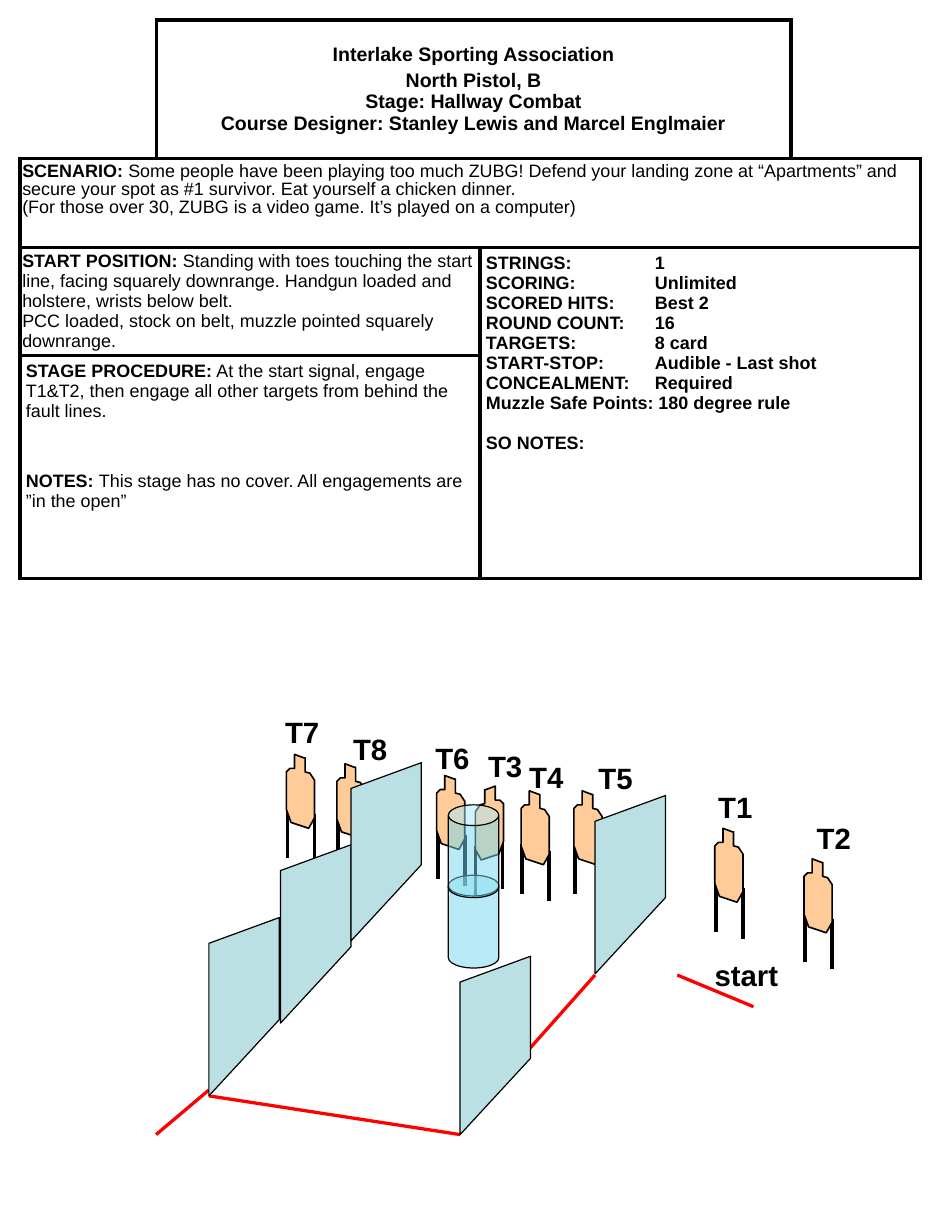
import pptx
import pptx.util
import pptx.dml.color
import pptx.enum.shapes
import pptx.enum.text
import pptx.oxml.ns
from lxml import etree
from dataclasses import dataclass

PX = 9144  # EMU per px, 100 px to the inch


@dataclass(frozen=True)
class Theme:
    font: str = "Arial"
    ink: str = "000000"
    paper: str = "FFFFFF"
    wall: str = "BBE0E3"
    target: str = "FFCC99"
    barrel: str = "73D9F1"
    fault: str = "FF0000"
    heading: float = 12
    body: float = 11
    label: float = 18
    border: float = 2.25


THEME = Theme()

# Content: a paragraph is a list of (text, bold) runs
HEADING = [
    [("Interlake Sporting Association", True)],
    [("North Pistol, B\nStage: Hallway Combat\n"
      "Course Designer: Stanley Lewis and Marcel Englmaier", True)],
]
SCENARIO = [[
    ("SCENARIO: ", True),
    ("Some people have been playing too much ZUBG! Defend your landing zone at "
     "“Apartments” and secure your spot as #1 survivor. Eat yourself a chicken dinner.\n"
     "(For those over 30, ZUBG is a video game. It’s played on a computer)", False),
]]
START = [
    [("START POSITION: ", True),
     ("Standing with toes touching the start line, facing squarely downrange. "
      "Handgun loaded and holstere, wrists below belt.", False)],
    [("PCC loaded, stock on belt, muzzle pointed squarely downrange.", False)],
]
PROCEDURE = [
    [("STAGE PROCEDURE:", True),
     (" At the start signal, engage T1&T2, then engage all other targets "
      "from behind the fault lines.", False)],
    [("NOTES: ", True),
     ("This stage has no cover. All engagements are ”in the open”", False)],
]
RULES = [[(line, True)] for line in (
    "STRINGS:\t1", "SCORING:\tUnlimited", "SCORED HITS:\tBest 2",
    "ROUND COUNT:\t16", "TARGETS:\t8 card", "START-STOP:\tAudible - Last shot",
    "CONCEALMENT:\tRequired", "Muzzle Safe Points: 180 degree rule", "SO NOTES:")]

TABLE_AT = (17, 17)
COLUMNS = (116, 276, 265, 110)
ROWS = (118, 76, 92, 190)
# first cell, last cell, paragraphs, format
CELLS = [
    ((0, 1), (0, 2), HEADING, dict(size=THEME.heading, centred=True, gaps=(0, 2.4))),
    ((1, 0), (1, 3), SCENARIO, dict(margins=(2, 4), spacing=0.9)),
    ((2, 0), (2, 1), START, dict(margins=(2, 3), gaps=(0, 0.5))),
    ((3, 0), (3, 1), PROCEDURE, dict(gaps=(0, 31))),
    ((2, 2), (3, 3), RULES, dict(tab=144, gaps=(0,) * 8 + (12.6,))),
]

# name, top left of the target, top left of its label, mirrored
TARGETS = [
    ("T7", (244, 643), (233, 604), False), ("T8", (287, 651), (291, 618), False),
    ("T1", (609, 706), (602, 668), False), ("T2", (685, 732), (686, 694), False),
    ("T6", (372, 661), (361, 626), False), ("T4", (444, 674), (441, 642), False),
    ("T5", (489, 674), (500, 643), False), ("T3", (405, 670), (406, 633), True),
]
TARGET_WIDTH = 24
TARGET_OUTLINE = [(15, 3), (7, 0), (7, 12), (3, 12), (0, 15), (0, 47), (4, 58),
                  (19, 63), (24, 54), (24, 22), (20, 16), (16, 15), (16, 3)]
TARGET_LEGS = [((24, 51), (24, 94)), ((1, 45), (1, 88))]
WALLS = [(392, 815), (178, 782), (239, 720), (299, 650), (507, 678)]
WALL_OUTLINE = [(60, 87), (0, 152), (0, 22), (60, 0)]
FAULT_LINES = [((642, 858), (577, 831)), ((507, 831), (451, 894)),
               ((178, 929), (133, 967)), ((392, 967), (178, 934))]
BARRELS = [(382, 746), (382, 686)]
BARREL_SIZE = (43, 79)


def emu(*lengths):
    return [pptx.util.Emu(length * PX) for length in lengths]


def rgb(colour):
    return pptx.dml.color.RGBColor.from_string(colour)


def add_xml(parent, tag, **attributes):
    return etree.SubElement(parent, pptx.oxml.ns.qn(tag), **attributes)


def write(frame, paragraphs, size=THEME.body, centred=False, spacing=None,
          gaps=(0,), tab=None):
    frame.word_wrap = True
    for index, (runs, gap) in enumerate(zip(paragraphs, gaps)):
        paragraph = frame.paragraphs[0] if index == 0 else frame.add_paragraph()
        paragraph.alignment = (pptx.enum.text.PP_ALIGN.CENTER if centred
                               else pptx.enum.text.PP_ALIGN.LEFT)
        if spacing:
            paragraph.line_spacing = spacing
        paragraph.space_before = pptx.util.Pt(gap)
        if tab:
            tabs = add_xml(paragraph._p.get_or_add_pPr(), "a:tabLst")
            add_xml(tabs, "a:tab", pos=str(tab * PX), algn="l")
        for text, bold in runs:
            for number, line in enumerate(text.split("\n")):
                if number:
                    paragraph.add_line_break()
                run = paragraph.add_run()
                run.text = line
                run.font.name, run.font.size = THEME.font, pptx.util.Pt(size)
                run.font.bold, run.font.color.rgb = bold, rgb(THEME.ink)


def format_shape(shape, fill, width):
    shape.shadow.inherit = False
    shape.fill.solid()
    shape.fill.fore_color.rgb = rgb(fill)
    shape.line.color.rgb = rgb(THEME.ink)
    shape.line.width = pptx.util.Pt(width)


def add_line(shapes, start, end, colour, width):
    line = shapes.add_connector(pptx.enum.shapes.MSO_CONNECTOR.STRAIGHT, *emu(*start, *end))
    line.line.color.rgb = rgb(colour)
    line.line.width = pptx.util.Pt(width)
    add_xml(line._element.spPr, "a:effectLst")


def add_outline(shapes, points, fill, width):
    builder = shapes.build_freeform(*points[0], scale=PX)
    builder.add_line_segments(points[1:], close=True)
    format_shape(builder.convert_to_shape(), fill, width)


def add_label(shapes, text, at, width):
    box = shapes.add_textbox(*emu(*at, width, 40))
    write(box.text_frame, [[(text, True)]], size=THEME.label)


def add_target(shapes, at, mirrored):
    def place(point):
        x = TARGET_WIDTH - point[0] if mirrored else point[0]
        return at[0] + x, at[1] + point[1]

    group = shapes.add_group_shape()
    for start, end in TARGET_LEGS:
        add_line(group.shapes, place(start), place(end), THEME.ink, THEME.border)
    add_outline(group.shapes, [place(point) for point in TARGET_OUTLINE], THEME.target, 1)


def format_cell(cell, sides):
    properties = cell._tc.get_or_add_tcPr()
    for side in "LRTB":
        line = add_xml(properties, "a:ln" + side, w=str(pptx.util.Pt(THEME.border)))
        if side in sides:
            add_xml(add_xml(line, "a:solidFill"), "a:srgbClr", val=THEME.ink)
        else:
            add_xml(line, "a:noFill")
    cell.fill.solid()
    cell.fill.fore_color.rgb = rgb(THEME.paper)


def add_stage_table(shapes):
    table = shapes.add_table(len(ROWS), len(COLUMNS),
                             *emu(*TABLE_AT, sum(COLUMNS), sum(ROWS))).table
    table.first_row = table.horz_banding = False
    for column, width in zip(table.columns, COLUMNS):
        column.width = pptx.util.Emu(width * PX)
    for row, height in zip(table.rows, ROWS):
        row.height = pptx.util.Emu(height * PX)
    # The two top corners stay open on their outer sides
    corners = {(0, 0): "RB", (0, len(COLUMNS) - 1): "LB"}
    for row in range(len(ROWS)):
        for column in range(len(COLUMNS)):
            format_cell(table.cell(row, column), corners.get((row, column), "LRTB"))
    for first, last, paragraphs, options in CELLS:
        options = dict(options)
        across, down = emu(*options.pop("margins", (5, 5)))
        cell = table.cell(*first)
        cell.merge(table.cell(*last))
        cell.margin_left = cell.margin_right = across
        cell.margin_top = cell.margin_bottom = down
        if options.get("centred"):
            cell.vertical_anchor = pptx.enum.text.MSO_ANCHOR.MIDDLE
        write(cell.text_frame, paragraphs, **options)


def main():
    presentation = pptx.Presentation()
    presentation.slide_width, presentation.slide_height = emu(800, 1050)
    shapes = presentation.slides.add_slide(presentation.slide_layouts[6]).shapes

    # Stage description
    add_stage_table(shapes)

    # Stage layout, from back to front
    for start, end in FAULT_LINES:
        add_line(shapes, start, end, THEME.fault, 2)
    for name, at, label_at, mirrored in TARGETS:
        add_target(shapes, at, mirrored)
    for name, at, label_at, mirrored in TARGETS:
        add_label(shapes, name, label_at, 58)
    add_label(shapes, "start", (599, 811), 86)
    for left, top in WALLS:
        add_outline(shapes, [(left + x, top + y) for x, y in WALL_OUTLINE], THEME.wall, 0.75)

    # Stacked see-through barrels
    barrels = shapes.add_group_shape()
    for at in BARRELS:
        barrel = barrels.shapes.add_shape(pptx.enum.shapes.MSO_SHAPE.CAN, *emu(*at, *BARREL_SIZE))
        barrel.adjustments[0] = 0.41
        format_shape(barrel, THEME.barrel, 0.75)
        colour = barrel._element.spPr.find(pptx.oxml.ns.qn("a:solidFill"))[0]
        add_xml(colour, "a:alpha", val="50000")

    presentation.save("out.pptx")


if __name__ == "__main__":
    main()
